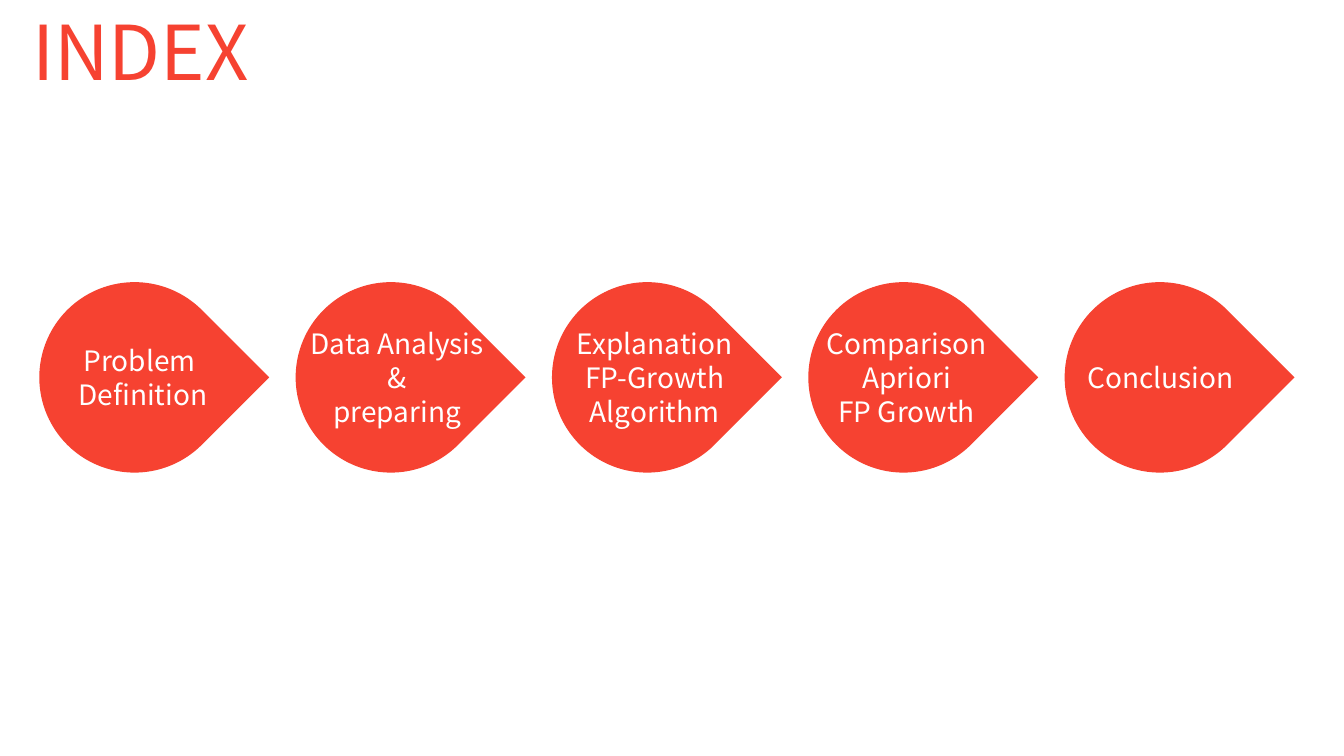
from pptx import Presentation
from pptx.dml.color import RGBColor
from pptx.enum import shapes, text
from pptx.util import Cm, Pt

# Content: lines, left and width of each label in cm
title = "INDEX"
steps = [
    (["Problem ", "Definition"], 1.68, 3.84),
    (["Data Analysis", "&", "preparing"], 7.47, 5.08),
    (["Explanation", "FP-Growth", "Algorithm"], 14.25, 4.5),
    (["Comparison", "Apriori", "FP Growth"], 20.55, 4.6),
    (["Conclusion"], 27.13, 4.24),
]

# Theme
theme = {
    "font": "Noto Sans CJK KR",
    "red": RGBColor(0xF6, 0x42, 0x31),
    "white": RGBColor(0xFF, 0xFF, 0xFF),
    "title": Pt(54),
    "label": Pt(20),
}

# Layout in cm
left, top, size, pitch = 0.99, 7.11, 4.8, 6.46
middle = top + size / 2
line, pad = 0.85, 0.25

deck = Presentation()
deck.slide_width, deck.slide_height = Cm(33.87), Cm(19.05)
slide = deck.slides.add_slide(deck.slide_layouts[6])


def write(lines, box, size, color, align):
    frame = slide.shapes.add_textbox(*map(Cm, box)).text_frame
    frame.word_wrap = False
    frame.auto_size = text.MSO_AUTO_SIZE.SHAPE_TO_FIT_TEXT
    for i, words in enumerate(lines):
        para = frame.paragraphs[0] if i == 0 else frame.add_paragraph()
        para.alignment = align
        run = para.add_run()
        run.text = words
        style = {"name": theme["font"], "size": theme[size]}
        for key, value in style.items():
            setattr(run.font, key, value)
        run.font.color.rgb = theme[color]


# Drops with their labels
for i, (lines, x, width) in enumerate(steps):
    drop = slide.shapes.add_shape(
        shapes.MSO_SHAPE.TEAR, Cm(left + i * pitch), Cm(top), Cm(size), Cm(size))
    drop.rotation = 45
    drop.shadow.inherit = False
    drop.fill.solid()
    drop.fill.fore_color.rgb = theme["red"]
    drop.line.fill.background()
    height = len(lines) * line + pad
    write(lines, (x, middle - height / 2, width, height),
          "label", "white", text.PP_ALIGN.CENTER)

# Title
write([title], (0.56, 0, 6.25, 2.57), "title", "red", text.PP_ALIGN.LEFT)

deck.save("out.pptx")
